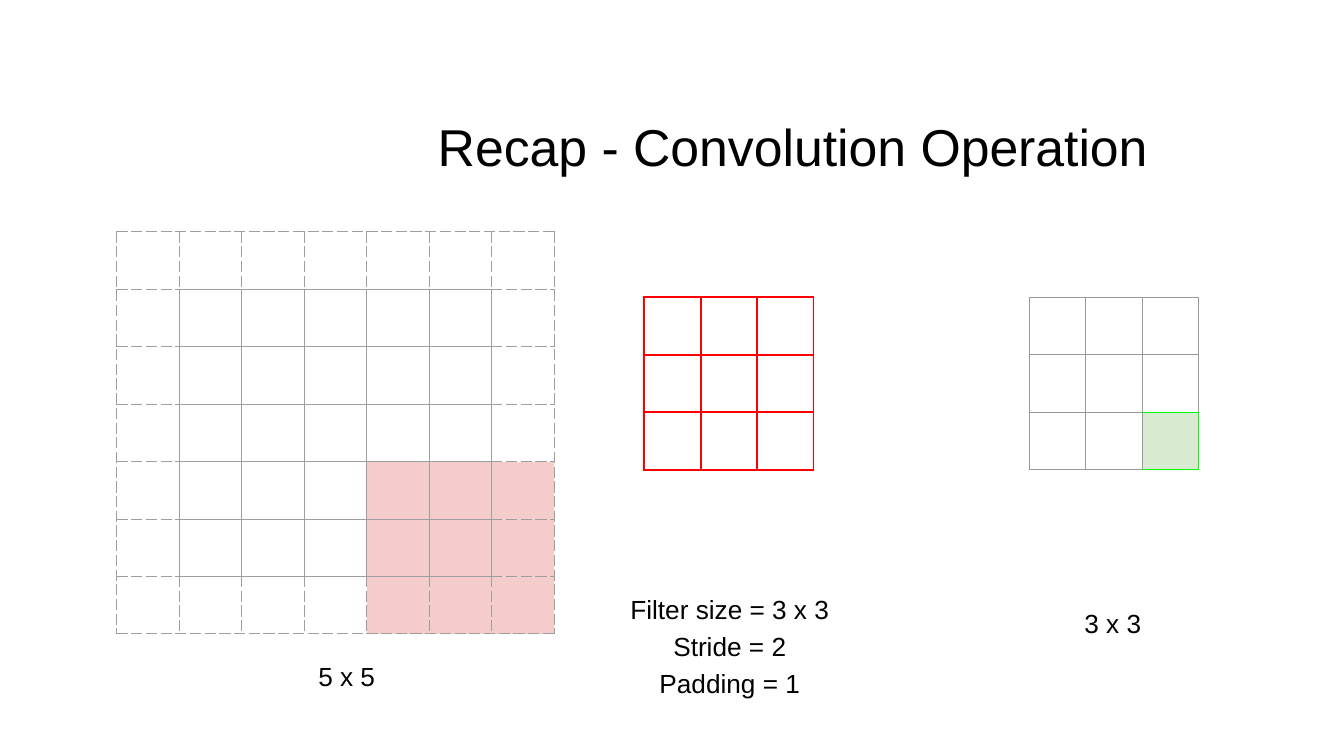
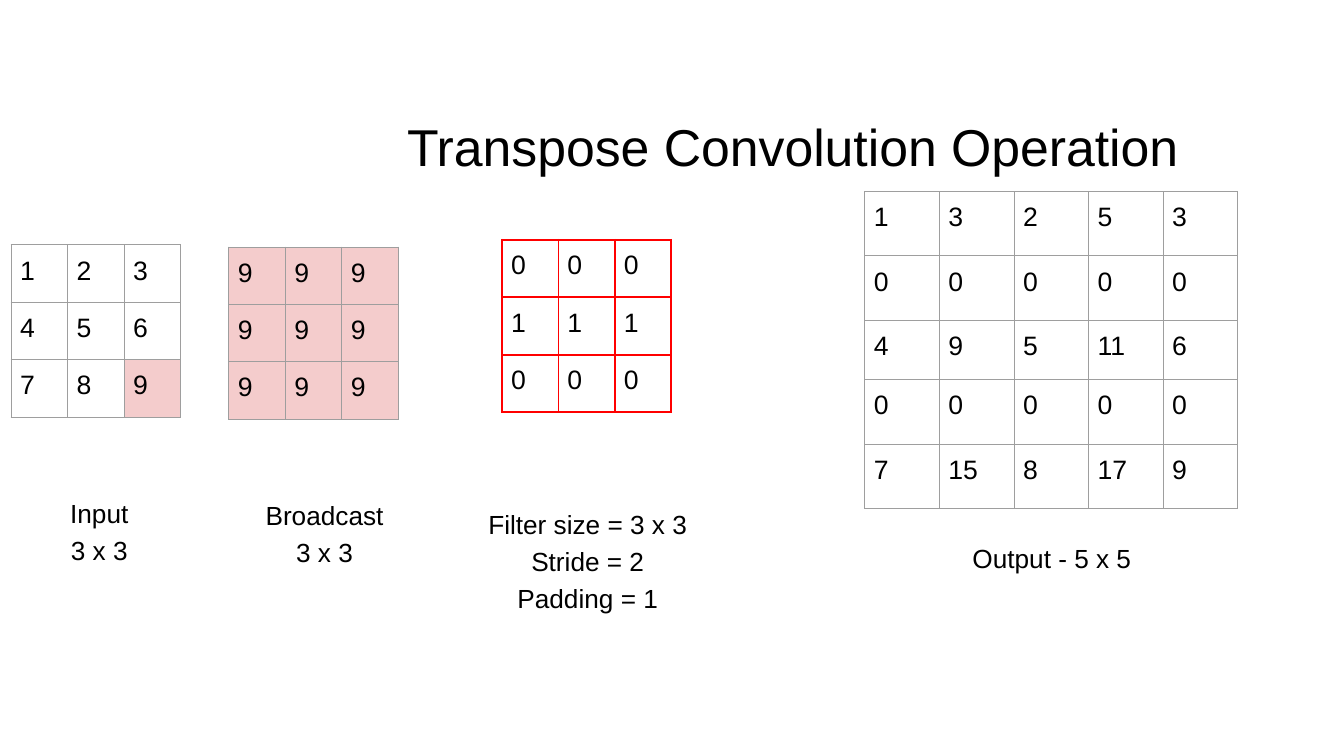
import pptx
import pptx.dml.color
import pptx.enum.text
import pptx.oxml.ns
import pptx.util
from lxml import etree

WIDTH, HEIGHT = pptx.util.Inches(13.333), pptx.util.Inches(7.5)
FONT = "Arial"
BLACK, GREY, MID_GREY = "000000", "9E9E9E", "999999"
RED, GREEN, PINK, PALE_GREEN = "FF0000", "00FF00", "F4CCCC", "D9EAD3"
TITLE_SIZE, LABEL_SIZE, CELL_SIZE = 37, 18.7, 19
LINE_SHARE = 4.15  # height of one label line
SMALL_COLS, SMALL_ROWS = [4.2] * 3, [7.6] * 3
FILTER_LINES = ["Filter size = 3 x 3", "Stride = 2", "Padding = 1"]
SIDES = {"L": (0, -1), "R": (0, 1), "T": (-1, 0), "B": (1, 0)}


def across(share):
    """Length of a percentage of the slide's width."""
    return round(WIDTH * share / 100)


def down(share):
    """Length of a percentage of the slide's height."""
    return round(HEIGHT * share / 100)


def rgb(value):
    return pptx.dml.color.RGBColor.from_string(value)


def write(tf, lines, *, size, color=BLACK, align="CENTER", anchor="TOP",
          spacing=1.0, margins=(0, 0.02)):
    """Fill a text frame, one paragraph a line; margins are left and top."""
    tf.word_wrap = True
    tf.auto_size = pptx.enum.text.MSO_AUTO_SIZE.NONE
    tf.vertical_anchor = getattr(pptx.enum.text.MSO_ANCHOR, anchor)
    tf.margin_left, tf.margin_top = map(pptx.util.Inches, margins)
    tf.margin_right = tf.margin_bottom = 0
    for i, line in enumerate(lines):
        p = tf.add_paragraph() if i else tf.paragraphs[0]
        p.alignment = getattr(pptx.enum.text.PP_ALIGN, align)
        p.line_spacing = spacing
        r = p.add_run()
        r.text = line
        r.font.name, r.font.size = FONT, pptx.util.Pt(size)
        r.font.color.rgb = rgb(color)


def add_slide(prs, title):
    slide = prs.slides.add_slide(prs.slide_layouts[5])
    sp = slide.shapes.title
    sp.left, sp.top = across(18), down(14.93)
    sp.width, sp.height = across(82), down(8.53)
    write(sp.text_frame, [title], size=TITLE_SIZE, anchor="MIDDLE")
    return slide


def add_label(slide, lines, center, top, width):
    sp = slide.shapes.add_textbox(across(center - width / 2), down(top),
                                  across(width), down(LINE_SHARE * len(lines)))
    write(sp.text_frame, lines, size=LABEL_SIZE,
          spacing=1.18 if len(lines) > 1 else 1.0)


def set_border(cell, side, color, width=0.75, dash="solid"):
    tag = pptx.oxml.ns.qn
    ln = etree.SubElement(cell._tc.get_or_add_tcPr(), tag(f"a:ln{side}"),
                          w=str(pptx.util.Pt(width)))
    fill = etree.SubElement(ln, tag("a:solidFill"))
    etree.SubElement(fill, tag("a:srgbClr"), val=color)
    etree.SubElement(ln, tag("a:prstDash"), val=dash)


def add_grid(slide, left, top, cols=SMALL_COLS, rows=SMALL_ROWS, values=None,
             fills=None, border=lambda r, c, side: (GREY,)):
    """Draw a table; fills maps (row, column) to a colour, and border gives
    the colour, width and dash of one side of a cell."""
    frame = slide.shapes.add_table(len(rows), len(cols), across(left), down(top),
                                   across(sum(cols)), down(sum(rows)))
    table = frame.table
    table.first_row = table.horz_banding = False
    for column, share in zip(table.columns, cols):
        column.width = across(share)
    for r, share in enumerate(rows):
        table.rows[r].height = down(share)
        for c in range(len(cols)):
            cell = table.cell(r, c)
            for side in SIDES:
                set_border(cell, side, *border(r, c, side))
            if fills and (r, c) in fills:
                cell.fill.solid()
                cell.fill.fore_color.rgb = rgb(fills[r, c])
            else:
                cell.fill.background()
            if values:
                write_cell(cell, values[r][c])


def write_cell(cell, value):
    cell.margin_left, cell.margin_top = map(pptx.util.Inches, (0.09, 0.11))
    cell.margin_right = cell.margin_bottom = 0
    write(cell.text_frame, [str(value)], size=CELL_SIZE, align="LEFT",
          margins=(0, 0))


def block(rows, cols, color):
    return {(r, c): color for r in rows for c in cols}


def padding_border(r, c, side):
    """Dashed in the padding ring, solid wherever an inner cell touches."""
    dr, dc = SIDES[side]
    touching = [(r, c), (r + dr, c + dc)]
    inner = any(0 < y < 6 and 0 < x < 6 for y, x in touching)
    return GREY, 0.75, "solid" if inner else "dash"


def filter_border(r, c, side):
    return RED, 1.5


def result_border(r, c, side):
    """Green around the last cell, except on its left."""
    if (r, c, side) == (1, 2, "B") or ((r, c) == (2, 2) and side != "L"):
        return (GREEN,)
    return (MID_GREY,)


def build_convolution(prs):
    slide = add_slide(prs, "Recap - Convolution Operation")
    add_grid(slide, 8.7, 30.67, [4.65] * 7, [7.6] * 7, border=padding_border,
             fills=block(range(4, 7), range(4, 7), PINK))
    add_grid(slide, 47.93, 39.33, border=filter_border)
    add_grid(slide, 76.58, 39.33, border=result_border,
             fills={(2, 2): PALE_GREEN})
    add_label(slide, ["5 x 5"], 25.8, 87.07, 4.5)
    add_label(slide, FILTER_LINES, 54.3, 77.47, 15)
    add_label(slide, ["3 x 3"], 82.8, 80, 4.5)


def build_transpose(prs):
    slide = add_slide(prs, "Transpose Convolution Operation")
    add_grid(slide, 0.83, 32.4, fills={(2, 2): PINK},
             values=[[1, 2, 3], [4, 5, 6], [7, 8, 9]])
    add_grid(slide, 17.03, 32.67, fills=block(range(3), range(3), PINK),
             values=[[9] * 3] * 3)
    add_grid(slide, 37.35, 31.73, border=filter_border,
             values=[[0] * 3, [1] * 3, [0] * 3])
    add_grid(slide, 64.35, 25.33, [5.55] * 5, [8.53, 8.53, 7.87, 8.53, 8.53],
             values=[[1, 3, 2, 5, 3], [0] * 5, [4, 9, 5, 11, 6], [0] * 5,
                     [7, 15, 8, 17, 9]])
    add_label(slide, ["Input", "3 x 3"], 7.39, 64.8, 4.58)
    add_label(slide, ["Broadcast", "3 x 3"], 24.15, 65.07, 9)
    add_label(slide, FILTER_LINES, 43.73, 66.27, 15)
    add_label(slide, ["Output - 5 x 5"], 78.26, 71.47, 12.08)


def main():
    prs = pptx.Presentation()
    prs.slide_width, prs.slide_height = WIDTH, HEIGHT
    build_convolution(prs)
    build_transpose(prs)
    prs.save("out.pptx")


if __name__ == "__main__":
    main()
